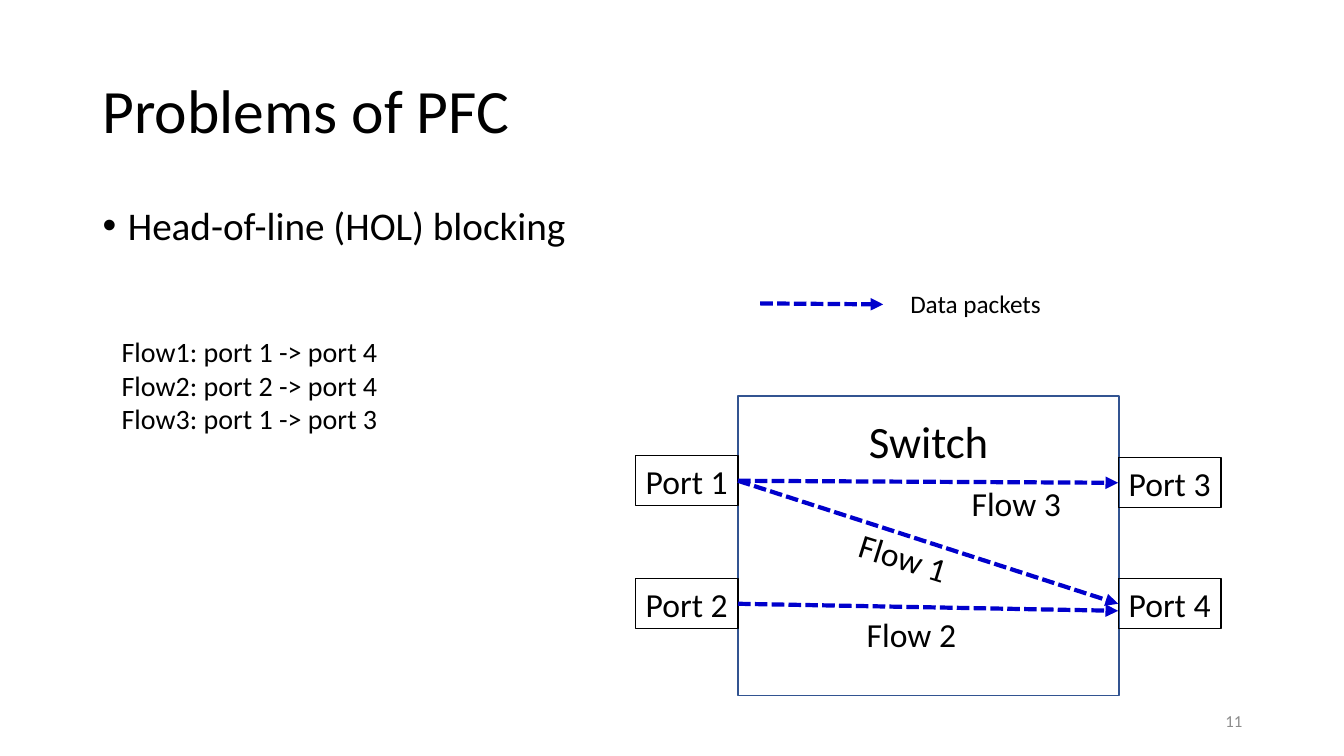
"""Build the slide on head-of-line blocking in a four-port switch."""
from dataclasses import dataclass
from typing import Optional

from lxml.etree import SubElement
from pptx import Presentation
from pptx.dml.color import RGBColor
from pptx.enum.dml import MSO_LINE
from pptx.enum.shapes import MSO_CONNECTOR, MSO_SHAPE
from pptx.enum.text import MSO_ANCHOR, PP_ALIGN
from pptx.oxml.ns import qn
from pptx.shapes.autoshape import Shape
from pptx.shapes.connector import Connector
from pptx.slide import Slide
from pptx.util import Inches, Pt


@dataclass(frozen=True)
class Theme:
    font: str = "Calibri"
    ink: str = "000000"
    muted: str = "8C8C8C"
    switch_line: str = "325491"
    flow_line: str = "0000CC"
    title: int = 44
    switch: int = 32
    body: int = 28
    label: int = 24
    listing: int = 20
    legend: int = 18
    number: int = 12


THEME = Theme()


@dataclass(frozen=True)
class Label:
    lines: tuple[str, ...]
    left: float
    top: float
    width: float
    height: float
    size: int
    align: PP_ALIGN = PP_ALIGN.LEFT
    anchor: MSO_ANCHOR = MSO_ANCHOR.TOP
    color: str = THEME.ink
    spacing: float = 1.0
    rotation: float = 0
    bullet: bool = False


@dataclass(frozen=True)
class Block:
    name: str
    left: float
    top: float
    width: float
    height: float
    size: int
    line: str
    weight: float
    inset: float = 0.05


@dataclass(frozen=True)
class Arrow:
    start: tuple[float, float]
    end: tuple[float, float]
    source: Optional[str] = None
    target: Optional[str] = None


def flow_label(name: str, left: float, top: float, rotation: float = 0) -> Label:
    """Describe the name beside one flow arrow."""
    return Label((name,), left, top, 1.86, 0.5, THEME.label, PP_ALIGN.CENTER, rotation=rotation)


def port(name: str, left: float, top: float) -> Block:
    """Describe one switch port."""
    return Block(name, left, top, 1.02, 0.5, THEME.label, THEME.ink, 0.75)


LEFT_EDGE, RIGHT_EDGE = 7.32, 11.09
PORT_LEFT = 6.3

LABELS = (
    Label(("Problems of PFC",), 0.92, 0.4, 11.5, 1.45, THEME.title,
          anchor=MSO_ANCHOR.MIDDLE, spacing=0.9),
    Label(("Head-of-line (HOL) blocking",), 0.92, 2, 11.5, 4.76, THEME.body,
          spacing=0.9, bullet=True),
    Label(("Data packets",), 8.93, 2.81, 1.86, 0.4, THEME.legend),
    Label(("Flow1: port 1 -> port 4", "Flow2: port 2 -> port 4", "Flow3: port 1 -> port 3"),
          0.93, 3.27, 3.09, 1.11, THEME.listing, PP_ALIGN.CENTER),
    Label(("11",), 9.42, 6.95, 3, 0.4, THEME.number, PP_ALIGN.RIGHT,
          MSO_ANCHOR.MIDDLE, THEME.muted),
    flow_label("Flow 3", 9.15, 4.74),
    flow_label("Flow 1", 8.03, 5.28, 17.3),
    flow_label("Flow 2", 8.11, 6.04),
)
BLOCKS = (
    Block("Switch", LEFT_EDGE, 3.93, 3.78, 2.97, THEME.switch, THEME.switch_line, 1, 0.17),
    port("Port 1", PORT_LEFT, 4.52),
    port("Port 2", PORT_LEFT, 5.74),
    port("Port 3", RIGHT_EDGE, 4.54),
    port("Port 4", RIGHT_EDGE, 5.74),
)
ARROWS = (
    Arrow((LEFT_EDGE, 4.77), (RIGHT_EDGE, 5.99), "Port 1", "Port 4"),
    Arrow((LEFT_EDGE, 5.99), (RIGHT_EDGE, 6.06), "Port 2"),
    Arrow((LEFT_EDGE, 4.77), (RIGHT_EDGE, 4.79), "Port 1", "Port 3"),
    Arrow((7.54, 3.01), (8.76, 3.02)),
)


def write_lines(shape: Shape, label: Label) -> None:
    """Write one paragraph with one run for each line."""
    frame = shape.text_frame
    frame.vertical_anchor = label.anchor
    for index, line in enumerate(label.lines):
        para = frame.add_paragraph() if index else frame.paragraphs[0]
        para.alignment = label.align
        para.line_spacing = label.spacing
        if label.bullet:
            properties = para._p.get_or_add_pPr()
            properties.set("marL", str(Inches(0.25)))
            properties.set("indent", str(Inches(-0.25)))
            SubElement(properties, qn("a:buFont")).set("typeface", "Arial")
            SubElement(properties, qn("a:buChar")).set("char", "•")
        span = para.add_run()
        span.text = line
        span.font.name = THEME.font
        span.font.size = Pt(label.size)
        span.font.color.rgb = RGBColor.from_string(label.color)


def add_label(page: Slide, label: Label) -> Shape:
    """Add a wrapping text box."""
    box = page.shapes.add_textbox(
        Inches(label.left), Inches(label.top), Inches(label.width), Inches(label.height))
    box.rotation = label.rotation
    box.text_frame.word_wrap = True
    write_lines(box, label)
    return box


def add_block(page: Slide, block: Block) -> Shape:
    """Add an outlined rectangle with its name."""
    box = page.shapes.add_shape(
        MSO_SHAPE.RECTANGLE, Inches(block.left), Inches(block.top),
        Inches(block.width), Inches(block.height))
    box.shadow.inherit = False
    box.fill.background()
    box.line.color.rgb = RGBColor.from_string(block.line)
    box.line.width = Pt(block.weight)
    box.text_frame.word_wrap = False
    box.text_frame.margin_top = Inches(block.inset)
    write_lines(box, Label((block.name,), block.left, block.top, block.width,
                           block.height, block.size, PP_ALIGN.CENTER))
    return box


def add_arrow(page: Slide, arrow: Arrow, boxes: dict[str, Shape]) -> Connector:
    """Add a dashed arrow and join it to its ports."""
    line = page.shapes.add_connector(
        MSO_CONNECTOR.STRAIGHT, *map(Inches, arrow.start), *map(Inches, arrow.end))
    if arrow.source:
        line.begin_connect(boxes[arrow.source], 3)
    if arrow.target:
        line.end_connect(boxes[arrow.target], 1)
    line.line.color.rgb = RGBColor.from_string(THEME.flow_line)
    line.line.width = Pt(3)
    line.line.dash_style = MSO_LINE.SQUARE_DOT
    SubElement(line.line._get_or_add_ln(), qn("a:tailEnd")).set("type", "triangle")
    SubElement(line._element.spPr, qn("a:effectLst"))
    return line


def main() -> None:
    """Build and save the deck."""
    deck = Presentation()
    deck.slide_width, deck.slide_height = Inches(13.33), Inches(7.5)
    page = deck.slides.add_slide(deck.slide_layouts[6])
    boxes = {block.name: add_block(page, block) for block in BLOCKS}
    for arrow in ARROWS:
        add_arrow(page, arrow, boxes)
    for label in LABELS:
        add_label(page, label)
    deck.save("out.pptx")


if __name__ == "__main__":
    main()
